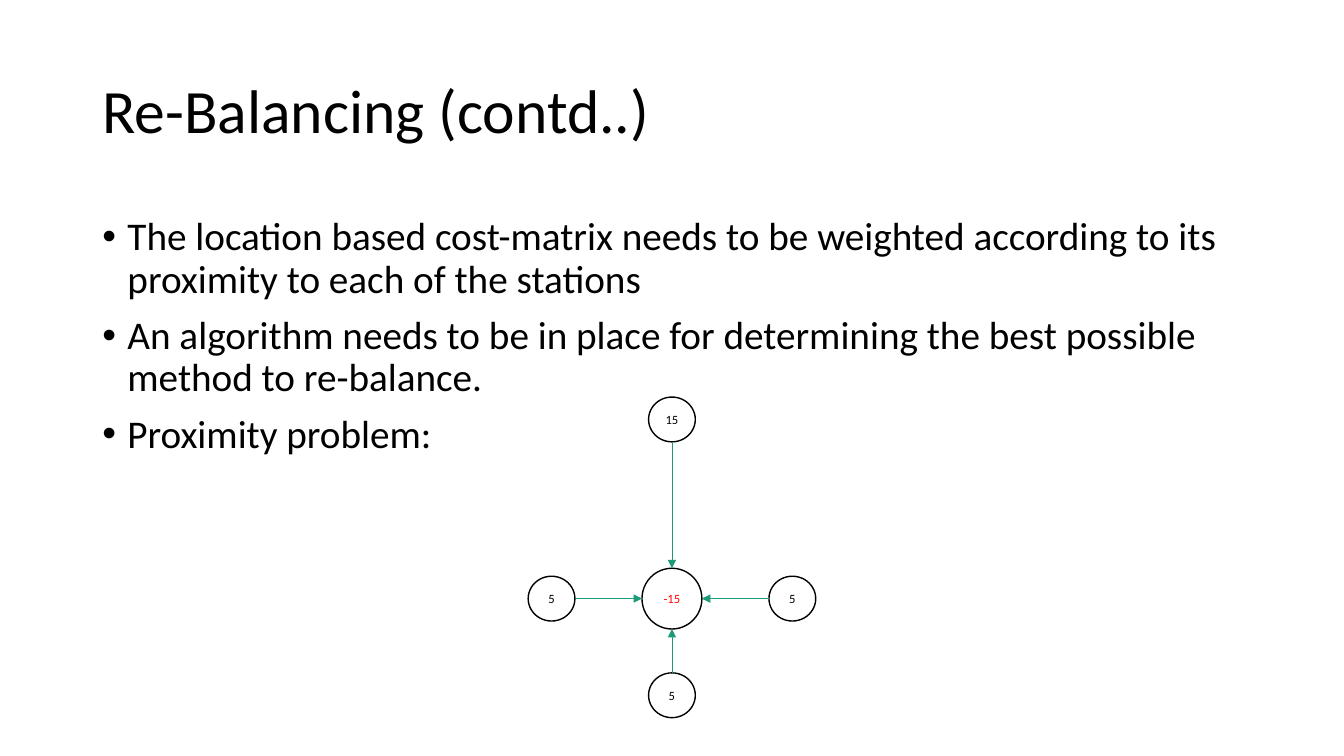
from dataclasses import dataclass

import pptx
import pptx.dml.color
import pptx.enum.shapes
import pptx.enum.text
import pptx.oxml.ns
import pptx.util
from lxml import etree

Pt = pptx.util.Pt
ALIGN = pptx.enum.text.PP_ALIGN
ANCHOR = pptx.enum.text.MSO_ANCHOR
BLACK, RED, GREEN = "000000", "FF0000", "1D9A78"


@dataclass(frozen=True)
class Station:
    """A labelled circle placed by its centre."""
    label: str
    x: float
    y: float
    width: float = 33.4
    height: float = 32
    color: str = BLACK


def rgb(value: str) -> pptx.dml.color.RGBColor:
    return pptx.dml.color.RGBColor.from_string(value)


def style(para, size: float, color: str = BLACK) -> None:
    para.font.name = "Calibri"
    para.font.size = Pt(size)
    para.font.color.rgb = rgb(color)


def add_child(parent, tag: str, **attributes: str) -> None:
    etree.SubElement(parent, pptx.oxml.ns.qn(tag), **attributes)


def place(box, left: float, top: float, width: float, height: float) -> None:
    box.left, box.top = Pt(left), Pt(top)
    box.width, box.height = Pt(width), Pt(height)


def add_bullets(page, texts: list[str]) -> None:
    frame = page.shapes.add_textbox(Pt(66), Pt(151.5), Pt(828), Pt(342.6)).text_frame
    frame.word_wrap = True
    frame.text = "\n".join(texts)
    for para in frame.paragraphs:
        style(para, 28)
        para.line_spacing = 0.9
        para.space_before = Pt(10)
        properties = para._p.get_or_add_pPr()
        properties.set("marL", str(Pt(18)))
        properties.set("indent", str(-Pt(18)))
        add_child(properties, "a:buFont", typeface="Arial")
        add_child(properties, "a:buChar", char="•")


def add_station(page, station: Station) -> None:
    circle = page.shapes.add_shape(
        pptx.enum.shapes.MSO_SHAPE.OVAL,
        Pt(station.x - station.width / 2), Pt(station.y - station.height / 2),
        Pt(station.width), Pt(station.height))
    circle.shadow.inherit = False
    circle.fill.background()
    circle.line.color.rgb = rgb(BLACK)
    circle.line.width = Pt(1)
    frame = circle.text_frame
    frame.margin_left = frame.margin_right = frame.margin_top = frame.margin_bottom = 0
    frame.vertical_anchor = ANCHOR.MIDDLE
    frame.text = station.label
    para = frame.paragraphs[0]
    para.alignment = ALIGN.CENTER
    style(para, 9, station.color)


def add_arrow(page, source: Station, target: Station) -> None:
    """Join the facing edges of two stations on a shared axis."""
    across = (target.x > source.x) - (target.x < source.x)
    down = (target.y > source.y) - (target.y < source.y)
    arrow = page.shapes.add_connector(
        pptx.enum.shapes.MSO_CONNECTOR.STRAIGHT,
        Pt(source.x + across * source.width / 2), Pt(source.y + down * source.height / 2),
        Pt(target.x - across * target.width / 2), Pt(target.y - down * target.height / 2))
    arrow.line.color.rgb = rgb(GREEN)
    arrow.line.width = Pt(0.5)
    add_child(arrow.line._get_or_add_ln(), "a:tailEnd", type="triangle")
    add_child(arrow._element.spPr, "a:effectLst")


deck = pptx.Presentation()
deck.slide_width, deck.slide_height = Pt(960), Pt(540)
page = deck.slides.add_slide(deck.slide_layouts.get_by_name("Title Only"))

# Title
title = page.shapes.title
place(title, 66, 28.8, 828, 104.4)
title.text_frame.text = "Re-Balancing (contd..)"
title.text_frame.vertical_anchor = ANCHOR.MIDDLE
heading = title.text_frame.paragraphs[0]
heading.alignment = ALIGN.LEFT
heading.line_spacing = 0.9
style(heading, 44)

# Bullets
add_bullets(page, [
    "The location based cost-matrix needs to be weighted according to its "
    "proximity to each of the stations",
    "An algorithm needs to be in place for determining the best possible "
    "method to re-balance.",
    "Proximity problem:",
])

# Central station and the stations around it
center = Station("-15", 480, 427.6, 42.8, 43.4, RED)
neighbors = [
    Station("15", center.x, center.y - 128),
    Station("5", center.x - 86, center.y),
    Station("5", center.x + 86, center.y),
    Station("5", center.x, center.y + 69),
]
for station in [center, *neighbors]:
    add_station(page, station)
for neighbor in neighbors:
    add_arrow(page, neighbor, center)

deck.save("out.pptx")
